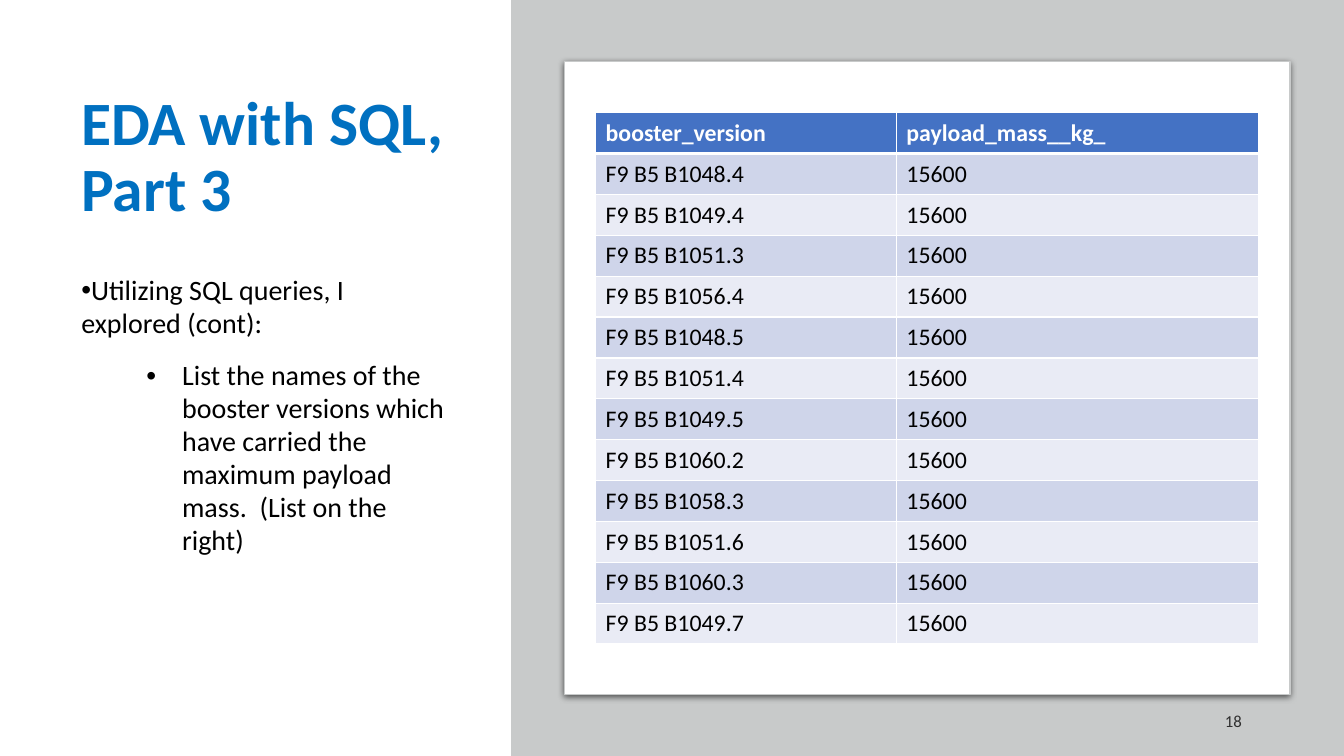
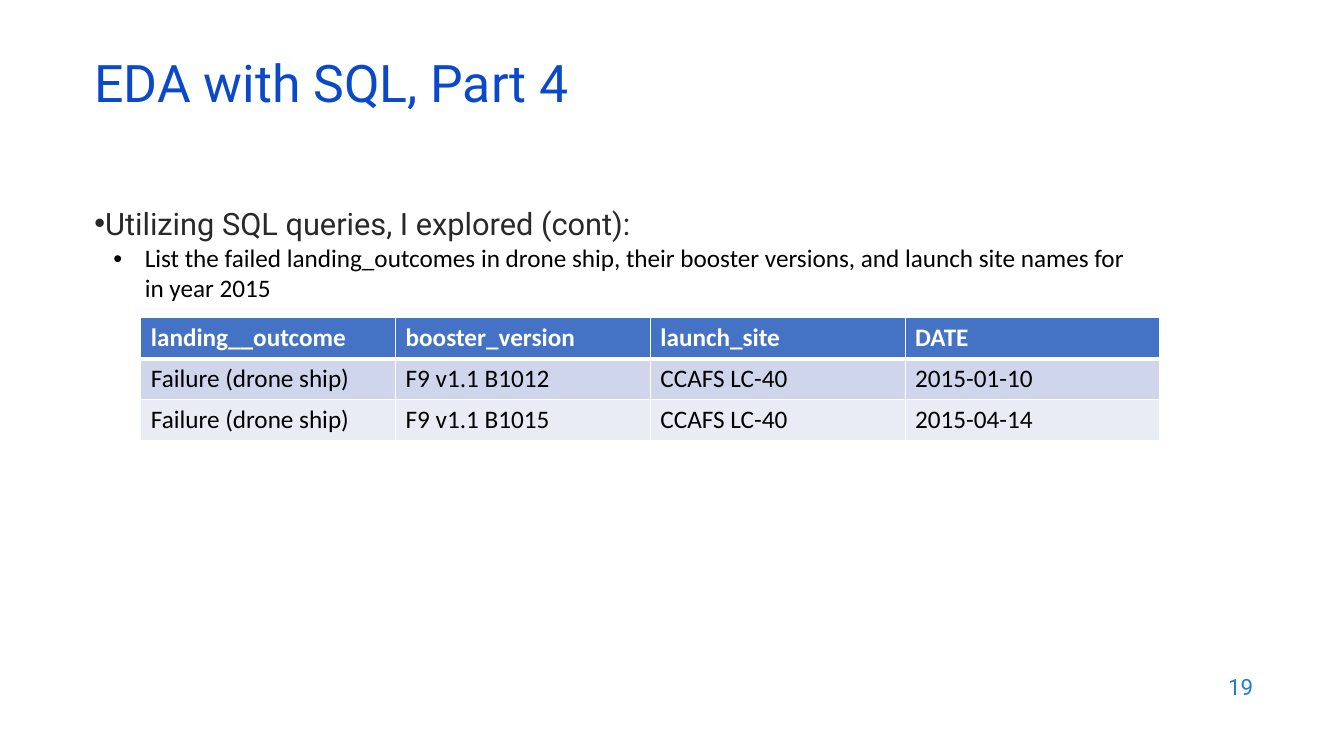
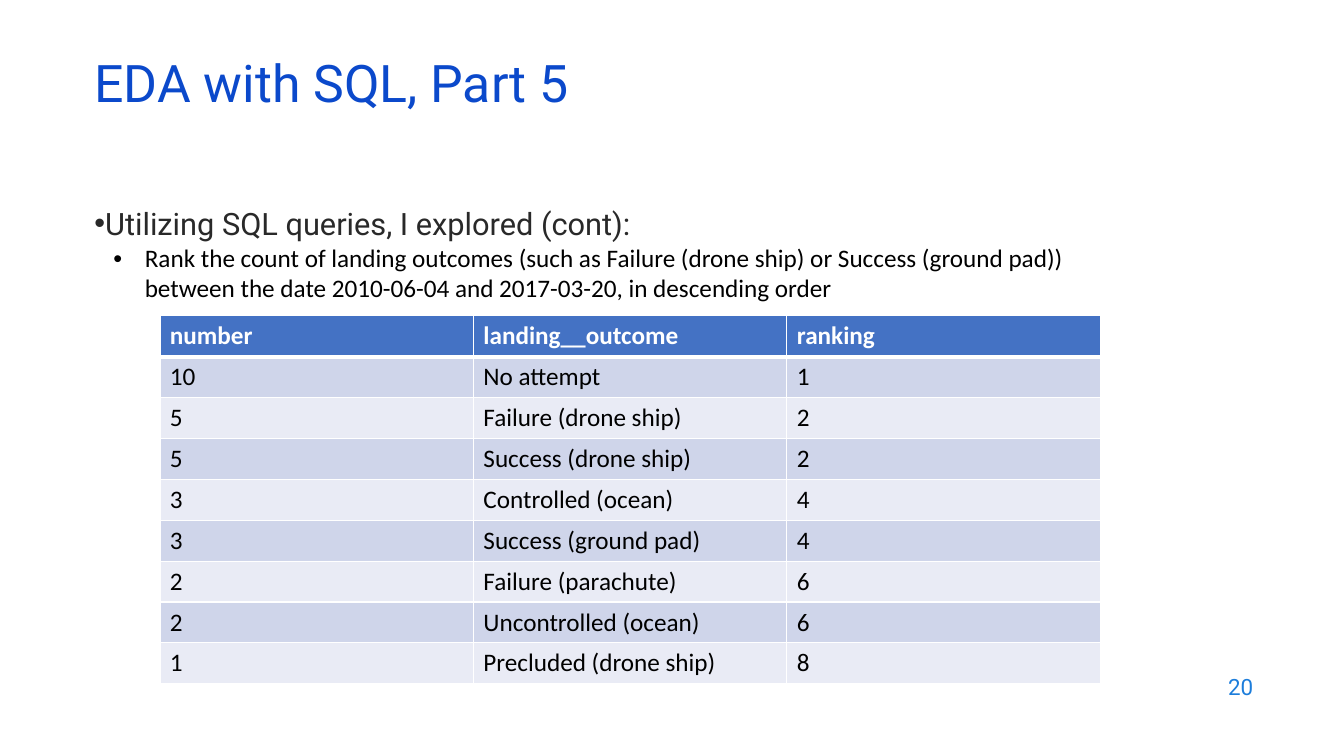
from lxml.etree import SubElement
from pptx import Presentation
from pptx.dml.color import RGBColor
from pptx.enum.shapes import MSO_SHAPE
from pptx.enum.text import MSO_ANCHOR, PP_ALIGN
from pptx.oxml import parse_xml
from pptx.oxml.ns import nsdecls, qn
from pptx.util import Cm, Pt

# Colours
WHITE = RGBColor(0xFF, 0xFF, 0xFF)
BLACK = RGBColor(0x00, 0x00, 0x00)
PANEL_GREY = RGBColor(0xC8, 0xCA, 0xCA)
NUMBER_GREY = RGBColor(0x30, 0x30, 0x30)
LEAD_GREY = RGBColor(0x29, 0x29, 0x29)
SIDE_TITLE_BLUE = RGBColor(0x00, 0x70, 0xC0)
TITLE_BLUE = RGBColor(0x0B, 0x49, 0xCB)
NUMBER_BLUE = RGBColor(0x1C, 0x7D, 0xDB)
HEADER_BLUE = RGBColor(0x44, 0x72, 0xC4)
ROW_COLOURS = (RGBColor(0xCF, 0xD5, 0xEA), RGBColor(0xE9, 0xEB, 0xF5))

# Shared measures and text
SLIDE_WIDTH, SLIDE_HEIGHT = 33.87, 19.05
PANEL_LEFT = 12.88
ROW_HEIGHT = 1.03
LEAD = "Utilizing SQL queries, I explored (cont):"

# Text styles: font values, colour and paragraph values
SIDE_TITLE = ({"name": "Calibri", "size": Pt(44), "bold": True}, SIDE_TITLE_BLUE,
              {"line_spacing": 0.9, "space_after": Pt(6)})
TITLE = ({"name": "Roboto", "size": Pt(37)}, TITLE_BLUE, {"line_spacing": 0.7})
SIDE_NUMBER = ({"name": "Calibri", "size": Pt(12)}, NUMBER_GREY,
               {"alignment": PP_ALIGN.RIGHT})
NUMBER = ({"name": "Roboto", "size": Pt(16)}, NUMBER_BLUE,
          {"alignment": PP_ALIGN.RIGHT})
SIDE_LEAD = ({"name": "Calibri", "size": Pt(20)}, BLACK, {"line_spacing": 0.98})
SIDE_DETAIL = (*SIDE_LEAD[:2], {"line_spacing": 0.98, "space_before": Pt(14)})
BODY_LEAD = ({"name": "Roboto", "size": Pt(22)}, LEAD_GREY, {})
BODY_DETAIL = ({"name": "Calibri", "size": Pt(18)}, BLACK,
               {"line_spacing": 0.98, "space_before": Pt(2)})


def set_values(target, values):
    for name, value in values.items():
        setattr(target, name, value)


def write(paragraph, text, style, bullet=None):
    """Fill a paragraph; bullet is its (left margin, first-line indent) in cm."""
    font_values, colour, paragraph_values = style
    paragraph.text = text
    if bullet:
        properties = paragraph._p.get_or_add_pPr()
        for name, length in zip(("marL", "indent"), bullet):
            properties.set(name, str(Cm(length)))
        SubElement(properties, qn("a:buFont")).set("typeface", "Arial")
        SubElement(properties, qn("a:buChar")).set("char", "•")
    set_values(paragraph, paragraph_values)
    font = paragraph.runs[0].font
    set_values(font, font_values)
    font.color.rgb = colour


def add_text(slide, box, paragraphs, anchor=MSO_ANCHOR.MIDDLE):
    frame = slide.shapes.add_textbox(*map(Cm, box)).text_frame
    set_values(frame, {"word_wrap": True, "vertical_anchor": anchor})
    for index, content in enumerate(paragraphs):
        paragraph = frame.add_paragraph() if index else frame.paragraphs[0]
        write(paragraph, *content)


def add_panel(slide, kind, box, fill):
    shape = slide.shapes.add_shape(kind, *map(Cm, box))
    shape.shadow.inherit = False
    shape.fill.solid()
    shape.fill.fore_color.rgb = fill
    shape.line.fill.background()
    return shape


def add_card(slide, box):
    """White card with a thin outline and a soft shadow below."""
    card = add_panel(slide, MSO_SHAPE.ROUNDED_RECTANGLE, box, WHITE)
    card.adjustments[0] = 0
    card.line.color.rgb = PANEL_GREY
    card.line.width = Pt(0.75)
    effects = card._element.spPr.find(qn("a:effectLst"))
    effects.append(parse_xml(
        f'<a:outerShdw {nsdecls("a")} blurRad="{Pt(4.5)}" dist="{Pt(1.5)}" '
        'dir="5400000" algn="t" rotWithShape="0"><a:srgbClr val="000000">'
        '<a:alpha val="63000"/></a:srgbClr></a:outerShdw>'))


def add_borders(cell, bottom, top):
    properties = cell._tc.get_or_add_tcPr()
    widths = {"lnL": 1, "lnR": 1, "lnT": top, "lnB": bottom}
    for index, (side, width) in enumerate(widths.items()):
        properties.insert(index, parse_xml(
            f'<a:{side} {nsdecls("a")} w="{Pt(width)}"><a:solidFill>'
            f'<a:srgbClr val="{WHITE}"/></a:solidFill></a:{side}>'))


def add_data_table(slide, left, top, widths, rows, size=18):
    """Table with a blue header row and banded rows below it."""
    table = slide.shapes.add_table(
        len(rows), len(widths), Cm(left), Cm(top),
        Cm(sum(widths)), Cm(ROW_HEIGHT * len(rows))).table
    for column, width in zip(table.columns, widths):
        column.width = Cm(width)
    for row_index, values in enumerate(rows):
        header = row_index == 0
        table.rows[row_index].height = Cm(ROW_HEIGHT)
        fill = HEADER_BLUE if header else ROW_COLOURS[(row_index - 1) % 2]
        style = ({"name": "Calibri", "size": Pt(size), "bold": header},
                 WHITE if header else BLACK, {})
        for cell, value in zip(table.rows[row_index].cells, values):
            cell.vertical_anchor = MSO_ANCHOR.MIDDLE
            cell.fill.solid()
            cell.fill.fore_color.rgb = fill
            add_borders(cell, bottom=3 if header else 1,
                        top=3 if row_index == 1 else 1)
            write(cell.text_frame.paragraphs[0], value, style)


def new_slide(presentation):
    return presentation.slides.add_slide(presentation.slide_layouts[6])


def add_side_slide(presentation, title, detail, number):
    """Text on the left, a card on a grey panel on the right."""
    slide = new_slide(presentation)
    add_text(slide, (1.8, 1.75, 9.73, 4.5), [(title, SIDE_TITLE)])
    add_text(slide, (1.8, 6.78, 9.73, 10.52),
             [(LEAD, SIDE_LEAD, (0, 0)), (detail, SIDE_DETAIL, (2.54, -0.9))],
             MSO_ANCHOR.TOP)
    add_panel(slide, MSO_SHAPE.RECTANGLE,
              (PANEL_LEFT, 0, SLIDE_WIDTH - PANEL_LEFT, SLIDE_HEIGHT), PANEL_GREY)
    add_card(slide, (14.22, 1.55, 18.29, 15.95))
    add_text(slide, (23.93, 17.65, 7.62, 1.02), [(number, SIDE_NUMBER)])
    return slide


def add_wide_slide(presentation, title, detail, number):
    """Title and bullets across the full width."""
    slide = new_slide(presentation)
    add_text(slide, (24.21, 16.74, 7.62, 1.12), [(number, NUMBER)])
    add_text(slide, (2.13, 5.03, 27.08, 12.1),
             [(LEAD, BODY_LEAD, (0, 0)), (detail, BODY_DETAIL, (1.27, -0.79))],
             MSO_ANCHOR.TOP)
    add_text(slide, (2.13, 1.5, 29.21, 1.52), [(title, TITLE)])
    return slide


def main():
    presentation = Presentation()
    presentation.slide_width = Cm(SLIDE_WIDTH)
    presentation.slide_height = Cm(SLIDE_HEIGHT)

    # Boosters with the maximum payload
    boosters = ("B1048.4", "B1049.4", "B1051.3", "B1056.4", "B1048.5", "B1051.4",
                "B1049.5", "B1060.2", "B1058.3", "B1051.6", "B1060.3", "B1049.7")
    slide = add_side_slide(
        presentation, "EDA with SQL, Part 3",
        "List the names of the booster versions which have carried the "
        "maximum payload mass.  (List on the right)", "18")
    add_data_table(slide, 15.01, 2.84, (7.58, 9.14), [
        ("booster_version", "payload_mass__kg_"),
        *((f"F9 B5 {booster}", "15600") for booster in boosters)], size=17)

    # Failed drone ship landings
    slide = add_wide_slide(
        presentation, "EDA with SQL, Part 4",
        "List the failed landing_outcomes in drone ship, their booster versions, "
        "and launch site names for in year 2015", "19")
    add_data_table(slide, 3.55, 8.01, (6.42,) * 4, [
        ("landing__outcome", "booster_version", "launch_site", "DATE"),
        ("Failure (drone ship)", "F9 v1.1 B1012", "CCAFS LC-40", "2015-01-10"),
        ("Failure (drone ship)", "F9 v1.1 B1015", "CCAFS LC-40", "2015-04-14")])

    # Ranking of landing outcomes
    slide = add_wide_slide(
        presentation, "EDA with SQL, Part 5",
        "Rank the count of landing outcomes (such as Failure (drone ship) or "
        "Success (ground pad)) between the date 2010-06-04 and 2017-03-20, "
        "in descending order", "20")
    add_data_table(slide, 4.03, 7.96, (7.9,) * 3, [
        ("number", "landing__outcome", "ranking"),
        ("10", "No attempt", "1"),
        ("5", "Failure (drone ship)", "2"),
        ("5", "Success (drone ship)", "2"),
        ("3", "Controlled (ocean)", "4"),
        ("3", "Success (ground pad)", "4"),
        ("2", "Failure (parachute)", "6"),
        ("2", "Uncontrolled (ocean)", "6"),
        ("1", "Precluded (drone ship)", "8")])

    presentation.save("out.pptx")


if __name__ == "__main__":
    main()
